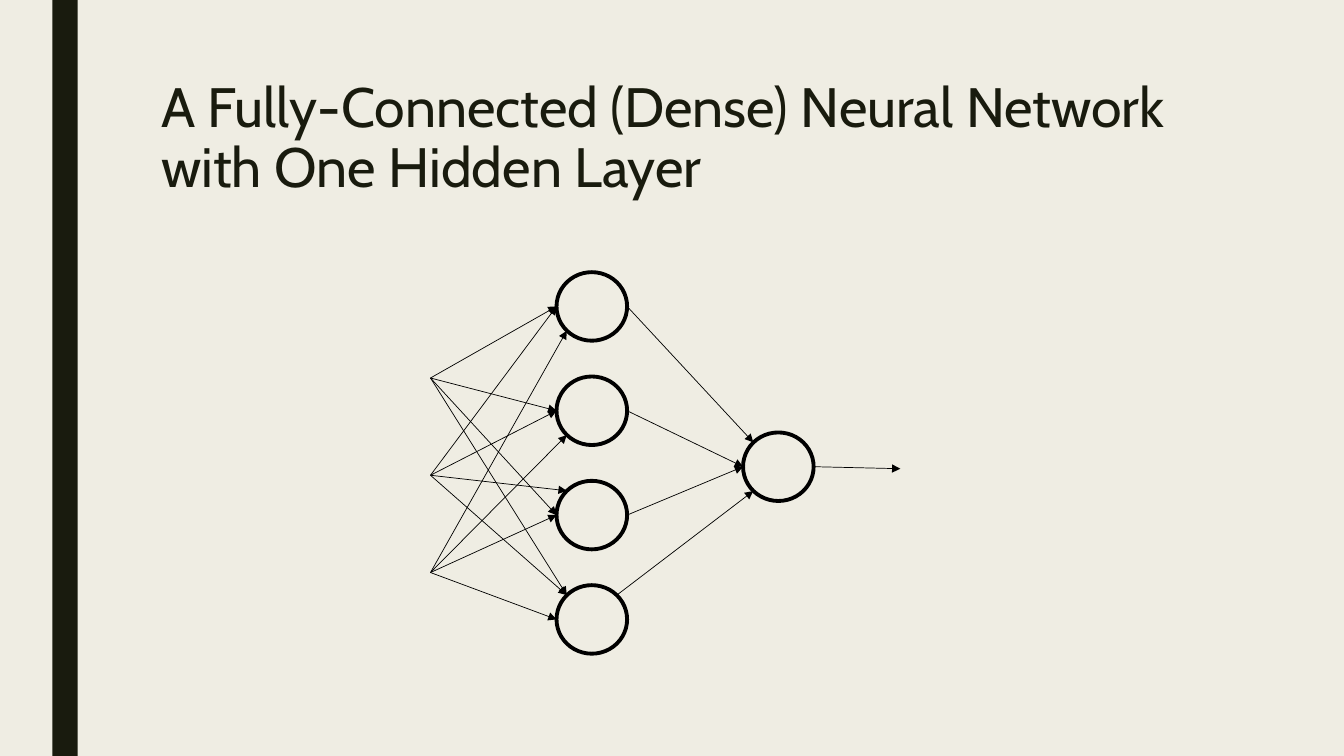
from lxml import etree
from pptx import Presentation
from pptx.dml.color import RGBColor
from pptx.enum.shapes import MSO_CONNECTOR as LINE, MSO_SHAPE as SHAPE
from pptx.enum.text import MSO_ANCHOR as ANCHOR, MSO_AUTO_SIZE as AUTO_SIZE, PP_ALIGN as ALIGN
from pptx.oxml.ns import qn
from pptx.util import Inches, Pt

INK, PAPER, BLACK = "191B0E", "EFEDE3", "000000"
NODE_WIDTH, NODE_HEIGHT = 0.7, 0.68
# Where an arrow meets a circle, as multiples of its half width and half height
DIAGONAL = 0.71
SITES = {
    "left": (-1, 0), "right": (1, 0),
    "upper left": (-DIAGONAL, -DIAGONAL), "upper right": (DIAGONAL, -DIAGONAL),
    "lower left": (-DIAGONAL, DIAGONAL),
}


def color(hex_string):
    return RGBColor.from_string(hex_string)


def site(center, name):
    """Return the point on the rim of the node at center."""
    across, down = SITES[name]
    return center[0] + across * NODE_WIDTH / 2, center[1] + down * NODE_HEIGHT / 2


deck = Presentation()
deck.slide_width, deck.slide_height = Inches(13.33), Inches(7.5)
page = deck.slides.add_slide(deck.slide_layouts[5])
page.background.fill.solid()
page.background.fill.fore_color.rgb = color(PAPER)

band = page.shapes.add_shape(SHAPE.RECTANGLE, Inches(0.52), 0, Inches(0.25), deck.slide_height)
band.shadow.inherit = False
band.fill.solid()
band.fill.fore_color.rgb = color(INK)
band.line.fill.background()

title = page.shapes.title
title.left, title.top, title.width, title.height = map(Inches, (1.5, 0.75, 10.5, 0.87))
frame = title.text_frame
frame.text = "A Fully-Connected (Dense) Neural Network with One Hidden Layer"
frame.word_wrap = True
frame.auto_size = AUTO_SIZE.NONE
frame.vertical_anchor = ANCHOR.TOP
heading = frame.paragraphs[0]
heading.alignment = ALIGN.LEFT
heading.line_spacing = 0.89
heading.font.name = "Cabin"
heading.font.size = Pt(39.6)
heading.font.color.rgb = color(INK)

# Layers of the network
inputs = [(4.27, 3.75 + 0.965 * row) for row in range(3)]
hidden = [(5.87, 3.04 + 1.035 * row) for row in range(4)]
output = (7.72, 4.63)

for x, y in hidden + [output]:
    node = page.shapes.add_shape(
        SHAPE.OVAL, Inches(x - NODE_WIDTH / 2), Inches(y - NODE_HEIGHT / 2),
        Inches(NODE_WIDTH), Inches(NODE_HEIGHT))
    node.shadow.inherit = False
    node.fill.background()
    node.line.color.rgb = color(BLACK)
    node.line.width = Pt(2.75)

# One row per input, one entry site per hidden node
entries = [
    ("left", "left", "left", "upper left"),
    ("left", "left", "upper left", "upper left"),
    ("lower left", "lower left", "left", "left"),
]
arrows = [(start, site(center, entry))
          for start, row in zip(inputs, entries)
          for center, entry in zip(hidden, row)]
exits = ("right", "right", "right", "upper right")
arrivals = ("upper left", "left", "left", "lower left")
arrows += [(site(center, leave), site(output, arrive))
           for center, leave, arrive in zip(hidden, exits, arrivals)]
arrows.append((site(output, "right"), (8.93, 4.65)))

for start, end in arrows:
    arrow = page.shapes.add_connector(LINE.STRAIGHT, *map(Inches, start + end))
    arrow.line.color.rgb = color(BLACK)
    arrow.line.width = Pt(0.5)
    etree.SubElement(arrow.line._get_or_add_ln(), qn("a:tailEnd"), type="triangle")
    etree.SubElement(arrow._element.spPr, qn("a:effectLst"))

deck.save("out.pptx")
